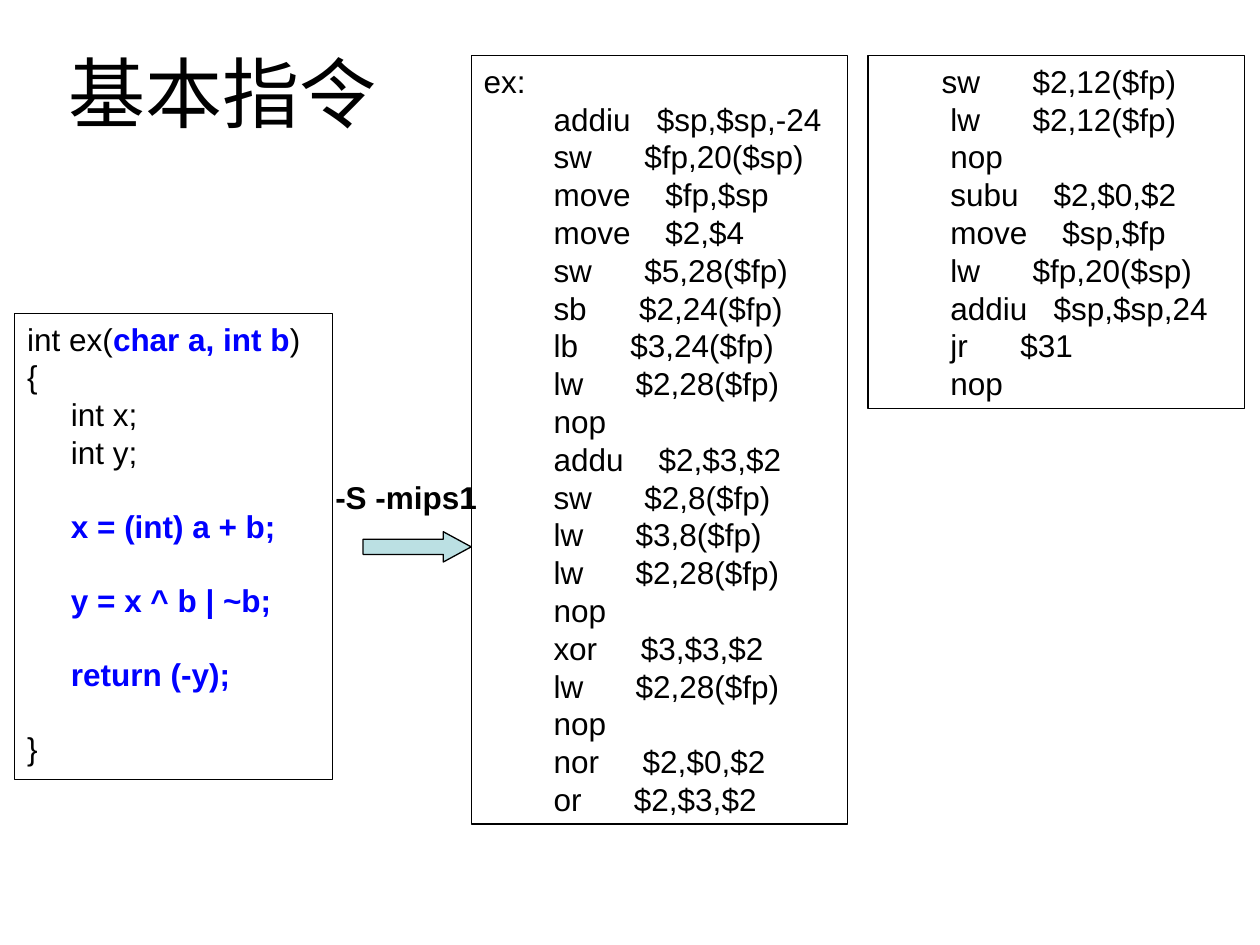
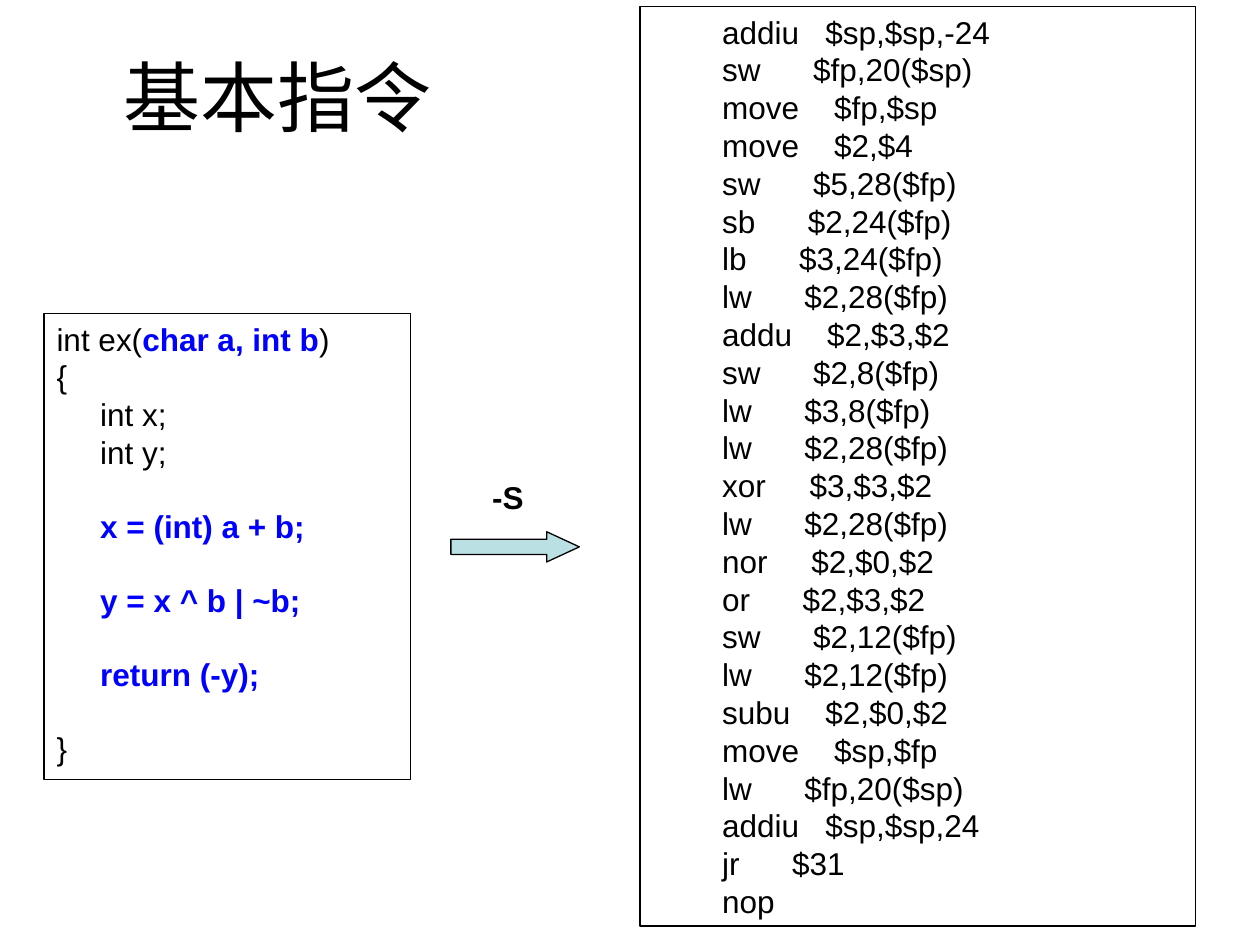
from dataclasses import dataclass

from pptx import Presentation
from pptx.dml.color import RGBColor
from pptx.enum.shapes import MSO_SHAPE as Shape
from pptx.enum.text import MSO_ANCHOR as Anchor, PP_ALIGN as Align
from pptx.util import Cm, Pt


@dataclass(frozen=True)
class Theme:
    font: str = "Arial"
    ink: RGBColor = RGBColor(0x00, 0x00, 0x00)
    highlight: RGBColor = RGBColor(0x00, 0x00, 0xFF)
    arrow: RGBColor = RGBColor(0xBB, 0xE0, 0xE3)
    title_size: Pt = Pt(44)
    code_size: Pt = Pt(18)
    code_line: Pt = Pt(20.7)
    border: Pt = Pt(0.75)


THEME = Theme()
TITLE = "基本指令"
BODY_INDENT = " " * 5
ASM_INDENT = " " * 8
FIRST_BOX_COUNT = 19

C_SOURCE = [
    [("int ex(", False), ("char a, int b", True), (")", False)],
    [("{", False)],
    [(BODY_INDENT + "int x;", False)],
    [(BODY_INDENT + "int y;", False)],
    [(BODY_INDENT + "x = (int) a + b;", True)],
    [(BODY_INDENT + "y = x ^ b | ~b;", True)],
    [(BODY_INDENT + "return (-y);", True)],
    [("}", False)],
]
SPACED_LINES = range(4, len(C_SOURCE))

INSTRUCTIONS = [
    ("addiu", "$sp,$sp,-24"),
    ("sw", "$fp,20($sp)"),
    ("move", "$fp,$sp"),
    ("move", "$2,$4"),
    ("sw", "$5,28($fp)"),
    ("sb", "$2,24($fp)"),
    ("lb", "$3,24($fp)"),
    ("lw", "$2,28($fp)"),
    ("nop", ""),
    ("addu", "$2,$3,$2"),
    ("sw", "$2,8($fp)"),
    ("lw", "$3,8($fp)"),
    ("lw", "$2,28($fp)"),
    ("nop", ""),
    ("xor", "$3,$3,$2"),
    ("lw", "$2,28($fp)"),
    ("nop", ""),
    ("nor", "$2,$0,$2"),
    ("or", "$2,$3,$2"),
    ("sw", "$2,12($fp)"),
    ("lw", "$2,12($fp)"),
    ("nop", ""),
    ("subu", "$2,$0,$2"),
    ("move", "$sp,$fp"),
    ("lw", "$fp,20($sp)"),
    ("addiu", "$sp,$sp,24"),
    ("jr", "$31"),
    ("nop", ""),
]


def assembly_lines(instructions):
    return [f"{ASM_INDENT}{op:<8}{args}".rstrip() for op, args in instructions]


def without_load_delays(instructions):
    *body, return_delay = instructions
    return [step for step in body if step[0] != "nop"] + [return_delay]


def format_run(run, size, color=THEME.ink, bold=False):
    run.font.name = THEME.font
    run.font.size = size
    run.font.color.rgb = color
    run.font.bold = bold


def add_text(slide, text, left, top, width, height, size, bold=False, inset=0.25):
    label = slide.shapes.add_textbox(Cm(left), Cm(top), Cm(width), Cm(height))
    frame = label.text_frame
    frame.text = text
    frame.margin_left = frame.margin_right = Cm(inset)
    format_run(frame.paragraphs[0].runs[0], size, bold=bold)
    return frame


def add_title(slide, left, width, height):
    frame = add_text(slide, TITLE, left, 0.76, width, height, THEME.title_size)
    frame.word_wrap = True
    frame.vertical_anchor = Anchor.MIDDLE
    frame.paragraphs[0].alignment = Align.CENTER


def add_outlined(slide, preset, left, top, width, height):
    outlined = slide.shapes.add_shape(preset, Cm(left), Cm(top), Cm(width), Cm(height))
    outlined.shadow.inherit = False
    outlined.fill.background()
    outlined.line.color.rgb = THEME.ink
    outlined.line.width = THEME.border
    return outlined


def add_code_box(slide, lines, left, top, width, height, spaced=()):
    frame = add_outlined(slide, Shape.RECTANGLE, left, top, width, height).text_frame
    frame.word_wrap = True
    frame.vertical_anchor = Anchor.TOP
    for number, segments in enumerate(lines):
        line = frame.add_paragraph() if number else frame.paragraphs[0]
        line.alignment = Align.LEFT
        if number in spaced:
            line.space_before = THEME.code_line
        for code, highlighted in segments:
            run = line.add_run()
            run.text = code
            color = THEME.highlight if highlighted else THEME.ink
            format_run(run, THEME.code_size, color, highlighted)


def add_c_box(slide, left, width):
    add_code_box(slide, C_SOURCE, left, 6.32, width, 9.4, SPACED_LINES)


def add_assembly_box(slide, lines, left, top, width, height):
    add_code_box(slide, [[(line, False)] for line in lines], left, top, width, height)


def add_compile_arrow(slide, left, width, head):
    arrow = add_outlined(slide, Shape.RIGHT_ARROW, left, 10.72, width, 0.61)
    arrow.fill.solid()
    arrow.fill.fore_color.rgb = THEME.arrow
    arrow.adjustments[0] = 0.5
    arrow.adjustments[1] = head


def add_compile_option(slide, option, left, width, inset):
    add_text(slide, option, left, 9.52, width, 1.02, THEME.code_size, True, inset)


def build_mips1_slide(slide):
    lines = assembly_lines(INSTRUCTIONS)
    first_part = ["ex:"] + lines[:FIRST_BOX_COUNT]
    second_part = lines[FIRST_BOX_COUNT:]
    second_part[0] = second_part[0][1:]
    add_title(slide, 0.69, 7.59, 2.16)
    add_c_box(slide, 0.3, 6.4)
    add_assembly_box(slide, first_part, 9.5, 1.12, 7.59, 15.49)
    add_compile_arrow(slide, 7.32, 2.18, 0.92)
    add_compile_option(slide, "-S -mips1", 6.71, 3, 0.05)
    add_assembly_box(slide, second_part, 17.5, 1.12, 7.59, 7.11)


def build_default_slide(slide):
    lines = assembly_lines(without_load_delays(INSTRUCTIONS))
    add_title(slide, 1.27, 8.64, 2.36)
    add_c_box(slide, 0.89, 7.39)
    add_assembly_box(slide, lines, 12.9, 0.13, 11.2, 18.54)
    add_compile_arrow(slide, 9.09, 2.59, 1.08)
    add_compile_option(slide, "-S", 9.5, 1.6, 0.42)


def main():
    deck = Presentation()
    deck.slide_width, deck.slide_height = Cm(25.4), Cm(19.05)
    blank = deck.slide_layouts[6]
    for build in (build_mips1_slide, build_default_slide):
        build(deck.slides.add_slide(blank))
    deck.save("out.pptx")


if __name__ == "__main__":
    main()
